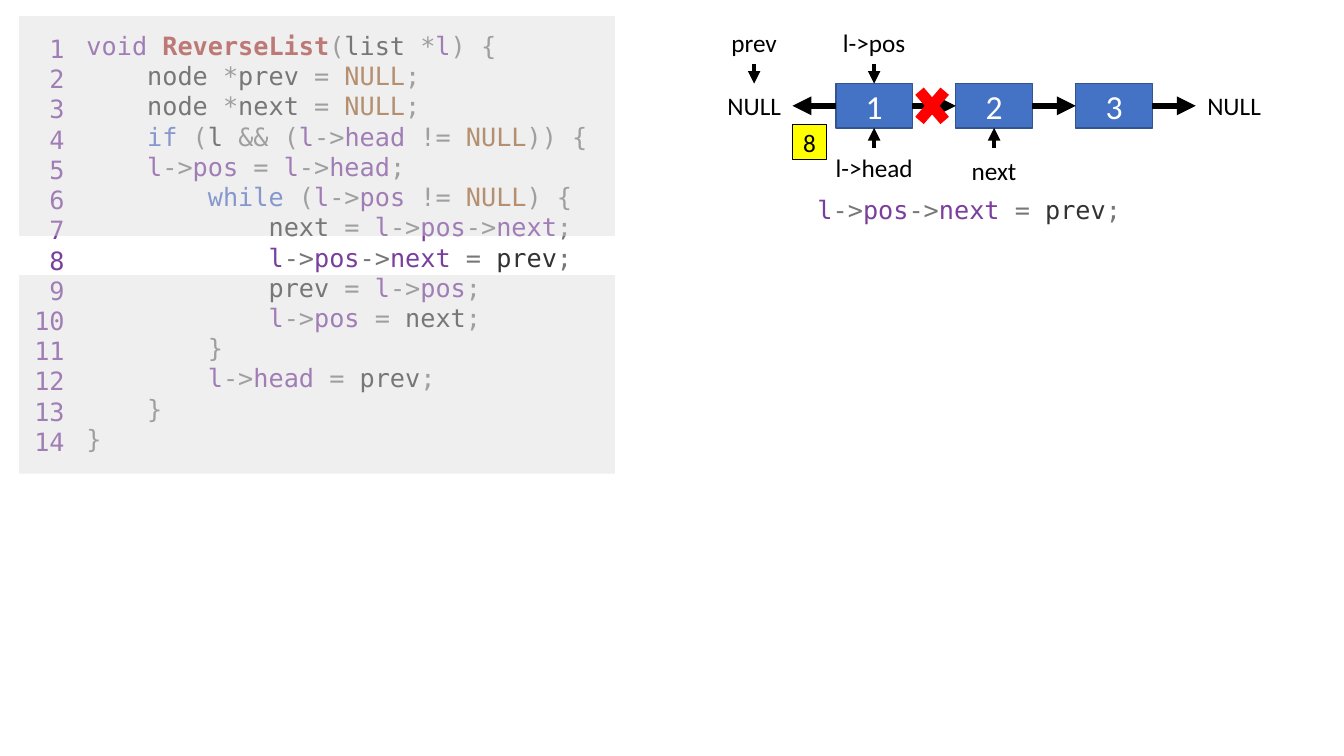
from itertools import groupby

from lxml import etree
from pptx import Presentation
from pptx.dml.color import RGBColor
from pptx.enum import shapes, text
from pptx.oxml import ns
from pptx.util import Inches, Pt

BLACK = RGBColor(0x00, 0x00, 0x00)
WHITE = RGBColor(0xFF, 0xFF, 0xFF)
RED = RGBColor(0xFF, 0x00, 0x00)
YELLOW = RGBColor(0xFF, 0xFF, 0x00)
VEIL = RGBColor(0xD9, 0xD9, 0xD9)
NODE_FILL = RGBColor(0x44, 0x72, 0xC4)
NODE_LINE = RGBColor(0x32, 0x54, 0x91)
PURPLE = RGBColor(0x7A, 0x3E, 0x9D)
PUNCTUATION = RGBColor(0x77, 0x77, 0x77)
PLAIN = RGBColor(0x33, 0x33, 0x33)
FUNCTION = RGBColor(0xAA, 0x37, 0x31)
WORD_COLORS = {
    "void": PURPLE,
    "ReverseList": FUNCTION,
    "NULL": RGBColor(0x9C, 0x5D, 0x27),
    "if": RGBColor(0x4B, 0x69, 0xC6),
    "while": RGBColor(0x4B, 0x69, 0xC6),
}
SANS, MONO = "Calibri", "DejaVu Sans Mono"

CODE = """\
void ReverseList(list *l) {
    node *prev = NULL;
    node *next = NULL;
    if (l && (l->head != NULL)) {
    l->pos = l->head;
        while (l->pos != NULL) {
            next = l->pos->next;
            l->pos->next = prev;
            prev = l->pos;
            l->pos = next;
        }
        l->head = prev;
    }
}""".splitlines()
CURRENT = 8  # line number being executed

NODE_W, NODE_H, PITCH = 0.76, 0.44, 1.19


def style_run(r, color, font=SANS, size=18):
    r.font.name, r.font.size, r.font.color.rgb = font, Pt(size), color


def add_tokens(p, line):
    """Write one line of code with syntax colours."""
    tokens = ["".join(chars) for _, chars in groupby(line, str.isalnum)]
    for before, token, after in zip([""] + tokens, tokens, tokens[1:] + [""]):
        if not token.isalnum():
            color = PUNCTUATION
        elif before.endswith("->") or (token == "l" and not after.startswith(" ")):
            color = PURPLE
        else:
            color = WORD_COLORS.get(token, PLAIN)
        r = p.add_run()
        r.text = token
        style_run(r, color, MONO)
        r.font.bold = color == FUNCTION


def add_code(slide, left, top, width, height, lines):
    tf = slide.shapes.add_textbox(*map(Inches, (left, top, width, height))).text_frame
    tf.word_wrap = True
    for i, line in enumerate(lines):
        add_tokens(tf.add_paragraph() if i else tf.paragraphs[0], line)


def add_line_numbers(slide, left, top, width, height):
    tf = slide.shapes.add_textbox(*map(Inches, (left, top, width, height))).text_frame
    tf.word_wrap = False
    tf.text = "\n".join(str(n) for n in range(1, len(CODE) + 1))
    for p in tf.paragraphs:
        p.alignment = text.PP_ALIGN.RIGHT
        style_run(p.runs[0], PURPLE, MONO)


def add_box(slide, left, top, width, height, label="", fill=WHITE, line=None,
            line_pt=1, color=BLACK, size=18, tight=False):
    sp = slide.shapes.add_shape(shapes.MSO_SHAPE.RECTANGLE,
                                *map(Inches, (left, top, width, height)))
    sp.shadow.inherit = False
    sp.fill.solid()
    sp.fill.fore_color.rgb = fill
    if line is None:
        sp.line.fill.background()
    else:
        sp.line.color.rgb, sp.line.width = line, Pt(line_pt)
    if label:
        tf = sp.text_frame
        tf.text = label
        tf.vertical_anchor = text.MSO_ANCHOR.MIDDLE
        if tight:
            tf.word_wrap = False
            tf.margin_left = tf.margin_right = tf.margin_top = tf.margin_bottom = 0
        p = tf.paragraphs[0]
        p.alignment = text.PP_ALIGN.CENTER
        style_run(p.runs[0], color, size=size)
    return sp


def add_line(slide, x1, y1, x2, y2, width, color=BLACK, arrow=True):
    line = slide.shapes.add_connector(shapes.MSO_CONNECTOR.STRAIGHT,
                                      *map(Inches, (x1, y1, x2, y2)))
    line.line.color.rgb, line.line.width = color, Pt(width)
    if arrow:
        etree.SubElement(line.line._get_or_add_ln(), ns.qn("a:tailEnd"), type="triangle")
    etree.SubElement(line._element.spPr, ns.qn("a:effectLst"))


def add_veil(slide, left, top, width, height):
    """Fade the code underneath with a translucent panel."""
    sp = add_box(slide, left, top, width, height, fill=VEIL)
    color = sp._element.spPr.find(ns.qn("a:solidFill"))[0]
    etree.SubElement(color, ns.qn("a:alpha"), val="41000")


def add_listing(slide, left, top, width, height):
    add_code(slide, left + 0.57, top + 0.09, 6.67, 4.34, CODE)
    add_line_numbers(slide, left + 0.04, top + 0.12, 0.51, 4.34)
    gap_top, gap_bottom = top + 2.18, top + 2.57
    add_veil(slide, left, top, width, gap_top - top)
    add_veil(slide, left, gap_bottom, width, top + height - gap_bottom)


def add_cross(slide, x, y, dx=0.125, dy=0.145):
    for sign in (1, -1):
        add_line(slide, x - dx, y - sign * dy, x + dx, y + sign * dy, 8, RED, arrow=False)


def add_list_diagram(slide, left, top):
    """Draw the list with the top left corner of its first label at left, top."""
    row = top + 0.63
    row_end, middle = row + NODE_H, row + NODE_H / 2
    below = row_end + 0.2
    xs = [left + PITCH * i for i in range(5)]
    centers = [x + NODE_W / 2 for x in xs]

    for x, label in zip(xs, ("NULL", "1", "2", "3", "NULL")):
        if label == "NULL":
            add_box(slide, x, row, NODE_W, NODE_H, label)
        else:
            add_box(slide, x, row, NODE_W, NODE_H, label, NODE_FILL, NODE_LINE,
                    color=WHITE, size=24)
    for x, following in zip(xs[1:], xs[2:]):
        add_line(slide, x + NODE_W, middle, following, middle, 4.5)
    add_line(slide, xs[1], middle, xs[0] + NODE_W, middle, 4.5)

    for center, label, width in ((centers[0], "prev", NODE_W), (centers[1], "l->pos", 1.16)):
        add_box(slide, center - width / 2, top, width, NODE_H, label)
        add_line(slide, center, top + NODE_H, center, row, 3)
    for center, label in ((centers[1], "l->head"), (centers[2], "next")):
        tight = label == "l->head"
        add_box(slide, center - NODE_W / 2, below, NODE_W, 0.39 if tight else NODE_H,
                label, tight=tight)
        add_line(slide, center, below, center, row_end, 3)

    add_box(slide, xs[0] + NODE_W, row_end - 0.03, 0.34, 0.34, str(CURRENT), YELLOW,
            BLACK, 0.75, tight=True)
    add_code(slide, left + 0.91, top + 1.68, 3.4, 0.4, [CODE[CURRENT - 1].strip()])
    add_cross(slide, (xs[1] + NODE_W + xs[2]) / 2 - 0.02, middle)


def main():
    prs = Presentation()
    prs.slide_width, prs.slide_height = Inches(13.33), Inches(7.5)
    slide = prs.slides.add_slide(prs.slide_layouts[6])
    add_listing(slide, 0.19, 0.16, 5.91, 4.54)
    add_list_diagram(slide, 7.1, 0.2)
    prs.save("out.pptx")


if __name__ == "__main__":
    main()
